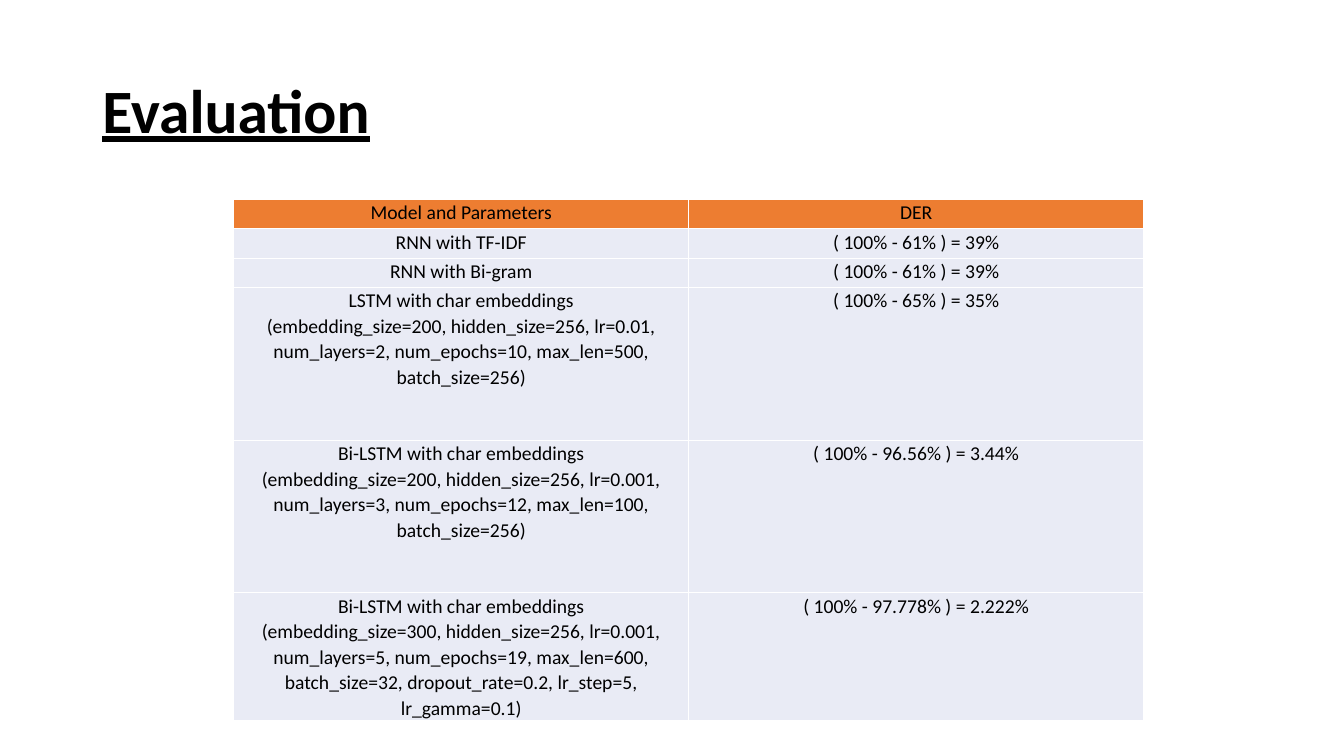
"""Build the Evaluation slide: a title and a table of models with their DER."""
from pptx import Presentation
from pptx.dml.color import RGBColor
from pptx.enum.text import MSO_ANCHOR, MSO_AUTO_SIZE, PP_ALIGN
from pptx.util import Pt


def style(p, size, align, spacing, bold, color="000000"):
    p.alignment = align
    p.line_spacing = spacing
    p.font.name = "Calibri"
    p.font.size = Pt(size)
    p.font.bold = bold
    p.font.color.rgb = RGBColor.from_string(color)


prs = Presentation()
prs.slide_width, prs.slide_height = Pt(960), Pt(540)
s = prs.slides.add_slide(prs.slide_layouts[5])

title = s.shapes.title
title.left, title.top, title.width, title.height = Pt(66), Pt(28.75), Pt(828), Pt(104.4)
tf = title.text_frame
tf.text = "Evaluation"
tf.auto_size = MSO_AUTO_SIZE.NONE
tf.vertical_anchor = MSO_ANCHOR.MIDDLE
p = tf.paragraphs[0]
style(p, 44, PP_ALIGN.LEFT, 0.9, True)
p.font.underline = True

rows = [
    (21, "Model and Parameters", "DER"),
    (21, "RNN with TF-IDF", "( 100% - 61% ) = 39%"),
    (21, "RNN with Bi-gram", "( 100% - 61% ) = 39%"),
    (109, "LSTM with char embeddings\n(embedding_size=200, hidden_size=256, lr=0.01, "
          "num_layers=2, num_epochs=10, max_len=500, batch_size=256)",
     "( 100% - 65% ) = 35%"),
    (109, "Bi-LSTM with char embeddings\n(embedding_size=200, hidden_size=256, lr=0.001, "
          "num_layers=3, num_epochs=12, max_len=100, batch_size=256)",
     "( 100% - 96.56% ) = 3.44%"),
    (43, "Bi-LSTM with char embeddings\n(embedding_size=300, hidden_size=256, lr=0.001, "
         "num_layers=5, num_epochs=19, max_len=600, batch_size=32, dropout_rate=0.2, "
         "lr_step=5, lr_gamma=0.1)",
     "( 100% - 97.778% ) = 2.222%"),
]
table = s.shapes.add_table(len(rows), 2, Pt(167), Pt(142.5), Pt(650), Pt(324)).table
table.horz_banding = False
for i, (height, *texts) in enumerate(rows):
    table.rows[i].height = Pt(height)
    for j, text in enumerate(texts):
        cell = table.cell(i, j)
        cell.text = text
        cell.margin_left = cell.margin_right = Pt(5.4)
        cell.margin_top = cell.margin_bottom = Pt(0)
        cell.fill.solid()
        cell.fill.fore_color.rgb = RGBColor.from_string("E9EBF5" if i else "ED7D31")
        for p in cell.text_frame.paragraphs:
            style(p, 14, PP_ALIGN.CENTER, 1.07, False)

prs.save("out.pptx")
